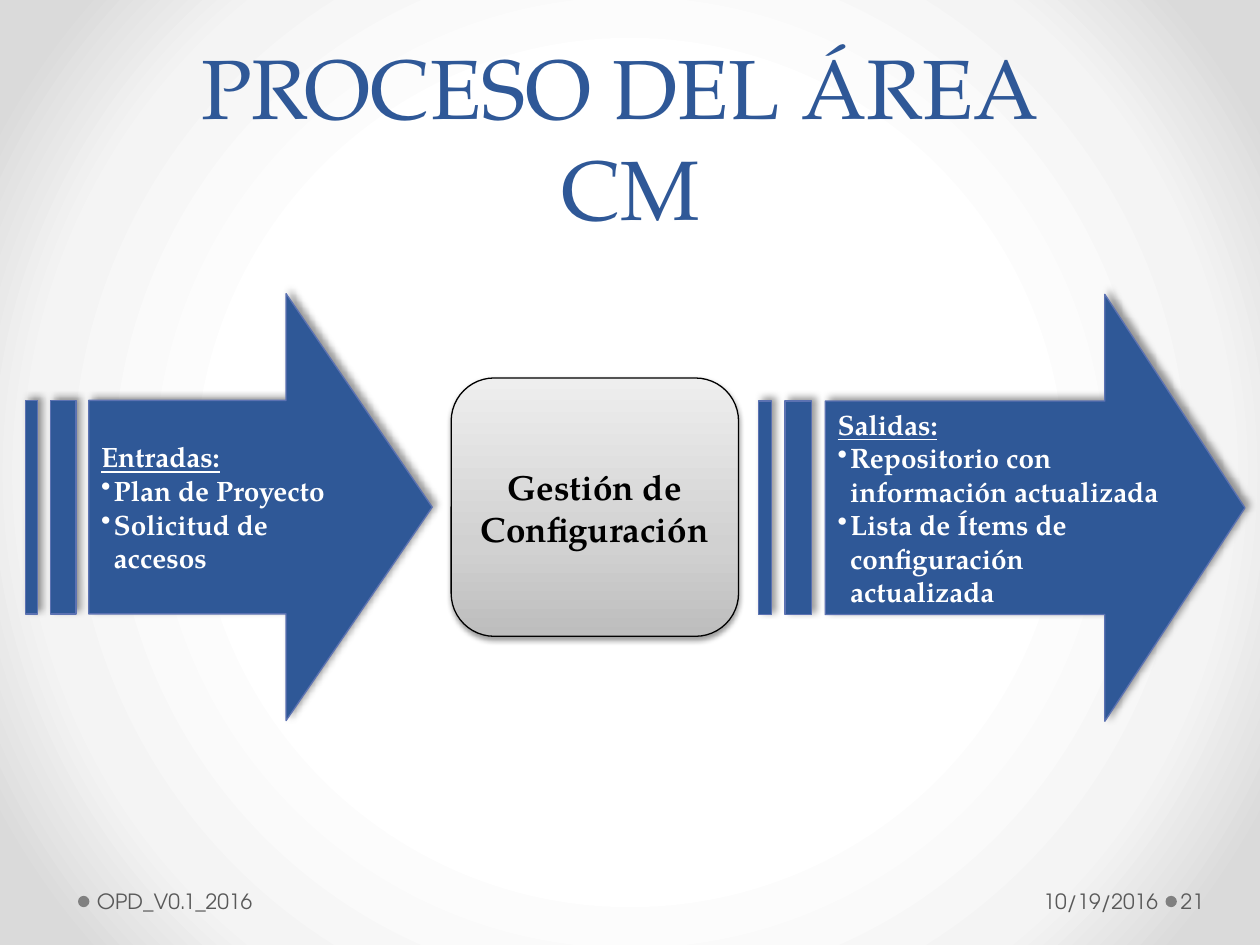
from dataclasses import dataclass

from lxml import etree
from pptx import Presentation
from pptx.dml.color import RGBColor
from pptx.enum.shapes import MSO_SHAPE
from pptx.enum.text import MSO_ANCHOR, MSO_AUTO_SIZE, PP_ALIGN
from pptx.oxml.ns import qn
from pptx.util import Pt

ARROW = MSO_SHAPE.STRIPED_RIGHT_ARROW
ROUNDED = MSO_SHAPE.ROUNDED_RECTANGLE
OVAL = MSO_SHAPE.OVAL
MIDDLE, BOTTOM = MSO_ANCHOR.MIDDLE, MSO_ANCHOR.BOTTOM
LEFT, CENTER, RIGHT = PP_ALIGN.LEFT, PP_ALIGN.CENTER, PP_ALIGN.RIGHT

BLUE = RGBColor(0x2F, 0x58, 0x97)
LINE_BLUE = RGBColor(0x5C, 0x72, 0xB2)
WHITE = RGBColor(0xFF, 0xFF, 0xFF)
BLACK = RGBColor(0x00, 0x00, 0x00)
DOT_GRAY = RGBColor(0x80, 0x80, 0x80)
FOOTER_GRAY = RGBColor(0x59, 0x59, 0x59)
BACKGROUND_STOPS = [(50, WHITE), (76, RGBColor(0xF4, 0xF4, 0xF4)),
                    (92, RGBColor(0xDA, 0xDA, 0xDA))]
BOX_STOPS = [(0, RGBColor(0xBD, 0xBD, 0xBD)), (35, RGBColor(0xD1, 0xD1, 0xD1)),
             (100, RGBColor(0xEE, 0xEE, 0xEE))]

SERIF = "TeX Gyre Pagella"
SANS = "TeX Gyre Adventor"
BULLET_INDENT = Pt(7.2)


@dataclass
class FlowArrow:
    left: float
    top: float
    width: float
    head: float
    heading: str
    items: list[str]


@dataclass
class FooterText:
    left: float
    width: float
    text: str
    align: PP_ALIGN
    left_inset: float
    right_inset: float


ARROWS = [
    FlowArrow(14.4, 167.8, 232.6, 0.359, "Entradas:",
              ["Plan de Proyecto", "Solicitud de accesos"]),
    FlowArrow(433.4, 168.2, 278, 0.328, "Salidas:",
              ["Repositorio con información actualizada",
               "Lista de Ítems de configuración actualizada"]),
]
FOOTERS = [
    FooterText(51.8, 285.1, "OPD_V0.1_2016", LEFT, 3.6, 7.2),
    FooterText(501.1, 164.2, "10/19/2016", RIGHT, 7.2, 3.6),
    FooterText(672.5, 43.9, "21", LEFT, 2.2, 3.6),
]
DOT_LEFTS = [44.6, 666]


def add_node(parent, tag: str, **attributes):
    return etree.SubElement(parent, qn(tag), {k: str(v) for k, v in attributes.items()})


def set_gradient(fill, owner, stops: list, angle: int | None = None) -> None:
    """Linear gradient at the given angle, or circular from the centre without one."""
    fill.gradient()
    gradient = owner.find(".//" + qn("a:gradFill"))
    for child in list(gradient):
        gradient.remove(child)
    stop_list = add_node(gradient, "a:gsLst")
    for position, color in stops:
        stop = add_node(stop_list, "a:gs", pos=position * 1000)
        add_node(stop, "a:srgbClr", val=color)
    if angle is None:
        circle = add_node(gradient, "a:path", path="circle")
        add_node(circle, "a:fillToRect", l=50000, t=50000, r=50000, b=50000)
    else:
        add_node(gradient, "a:lin", ang=angle * 60000, scaled=0)


def set_shadow(shape, opacity: int, blur: float, distance: float, angle: int) -> None:
    shape.shadow.inherit = False
    effects = shape.element.spPr.find(qn("a:effectLst"))
    shadow = add_node(effects, "a:outerShdw", blurRad=Pt(blur), dist=Pt(distance),
                      dir=angle * 60000, algn="ctr", rotWithShape=0)
    color = add_node(shadow, "a:srgbClr", val=BLACK)
    add_node(color, "a:alpha", val=opacity * 1000)


def set_line(shape, color: RGBColor) -> None:
    shape.line.color.rgb = color
    shape.line.width = Pt(0.75)


def format_text(paragraph, name: str, size: int, color: RGBColor,
                bold: bool = False, align: PP_ALIGN = LEFT) -> None:
    paragraph.alignment = align
    for run in paragraph.runs:
        run.font.name = name
        run.font.size = Pt(size)
        run.font.color.rgb = color
        run.font.bold = bold


def add_arrow(slide, arrow: FlowArrow) -> None:
    shape = slide.shapes.add_shape(ARROW, Pt(arrow.left), Pt(arrow.top),
                                   Pt(arrow.width), Pt(244))
    shape.adjustments[0] = 0.5
    shape.adjustments[1] = arrow.head
    shape.fill.solid()
    shape.fill.fore_color.rgb = BLUE
    set_line(shape, LINE_BLUE)
    set_shadow(shape, 40, 4, 3, 315)

    frame = shape.text_frame
    frame.word_wrap = True
    frame.vertical_anchor = MIDDLE
    frame.text = "\n".join([arrow.heading, *arrow.items])
    for paragraph in frame.paragraphs:
        format_text(paragraph, SERIF, 16, WHITE, bold=True)
    heading, *items = frame.paragraphs
    heading.runs[0].font.underline = True
    for paragraph in items:
        properties = paragraph._p.get_or_add_pPr()
        properties.set("marL", str(BULLET_INDENT))
        properties.set("indent", str(-BULLET_INDENT))
        add_node(properties, "a:buChar", char="•")


def add_process_box(slide) -> None:
    shape = slide.shapes.add_shape(ROUNDED, Pt(257.8), Pt(216), Pt(164.2), Pt(147.6))
    set_gradient(shape.fill, shape.element, BOX_STOPS, 270)
    set_line(shape, BLACK)
    set_shadow(shape, 38, 3.1, 1.6, 90)
    frame = shape.text_frame
    frame.word_wrap = True
    frame.vertical_anchor = MIDDLE
    frame.text = "Gestión de Configuración"
    format_text(frame.paragraphs[0], SERIF, 20, BLACK, bold=True, align=CENTER)


def add_footer(slide, footer: FooterText) -> None:
    box = slide.shapes.add_textbox(Pt(footer.left), Pt(500.4), Pt(footer.width), Pt(28.8))
    frame = box.text_frame
    frame.word_wrap = True
    frame.vertical_anchor = MIDDLE
    frame.margin_left = Pt(footer.left_inset)
    frame.margin_right = Pt(footer.right_inset)
    frame.text = footer.text
    format_text(frame.paragraphs[0], SANS, 12, FOOTER_GRAY, align=footer.align)


def add_dot(slide, left: float) -> None:
    dot = slide.shapes.add_shape(OVAL, Pt(left), Pt(511.9), Pt(6.5), Pt(6.5))
    dot.shadow.inherit = False
    dot.fill.solid()
    dot.fill.fore_color.rgb = DOT_GRAY
    dot.line.fill.background()


def set_title(slide) -> None:
    title = slide.shapes.title
    title.left, title.top, title.width, title.height = Pt(20.2), Pt(13.7), Pt(680.4), Pt(125.3)
    frame = title.text_frame
    frame.word_wrap = True
    frame.auto_size = MSO_AUTO_SIZE.NONE
    frame.vertical_anchor = BOTTOM
    frame.text = "PROCESO DEL ÁREA \vCM"
    format_text(frame.paragraphs[0], SERIF, 48, BLUE, align=CENTER)


def main() -> None:
    presentation = Presentation()
    presentation.slide_width, presentation.slide_height = Pt(720), Pt(540)
    slide = presentation.slides.add_slide(presentation.slide_layouts[5])
    set_gradient(slide.background.fill, slide.element, BACKGROUND_STOPS)
    set_title(slide)

    # Inputs, process and outputs
    for arrow in ARROWS:
        add_arrow(slide, arrow)
    add_process_box(slide)

    # Footer
    for left in DOT_LEFTS:
        add_dot(slide, left)
    for footer in FOOTERS:
        add_footer(slide, footer)

    presentation.save("out.pptx")


if __name__ == "__main__":
    main()
